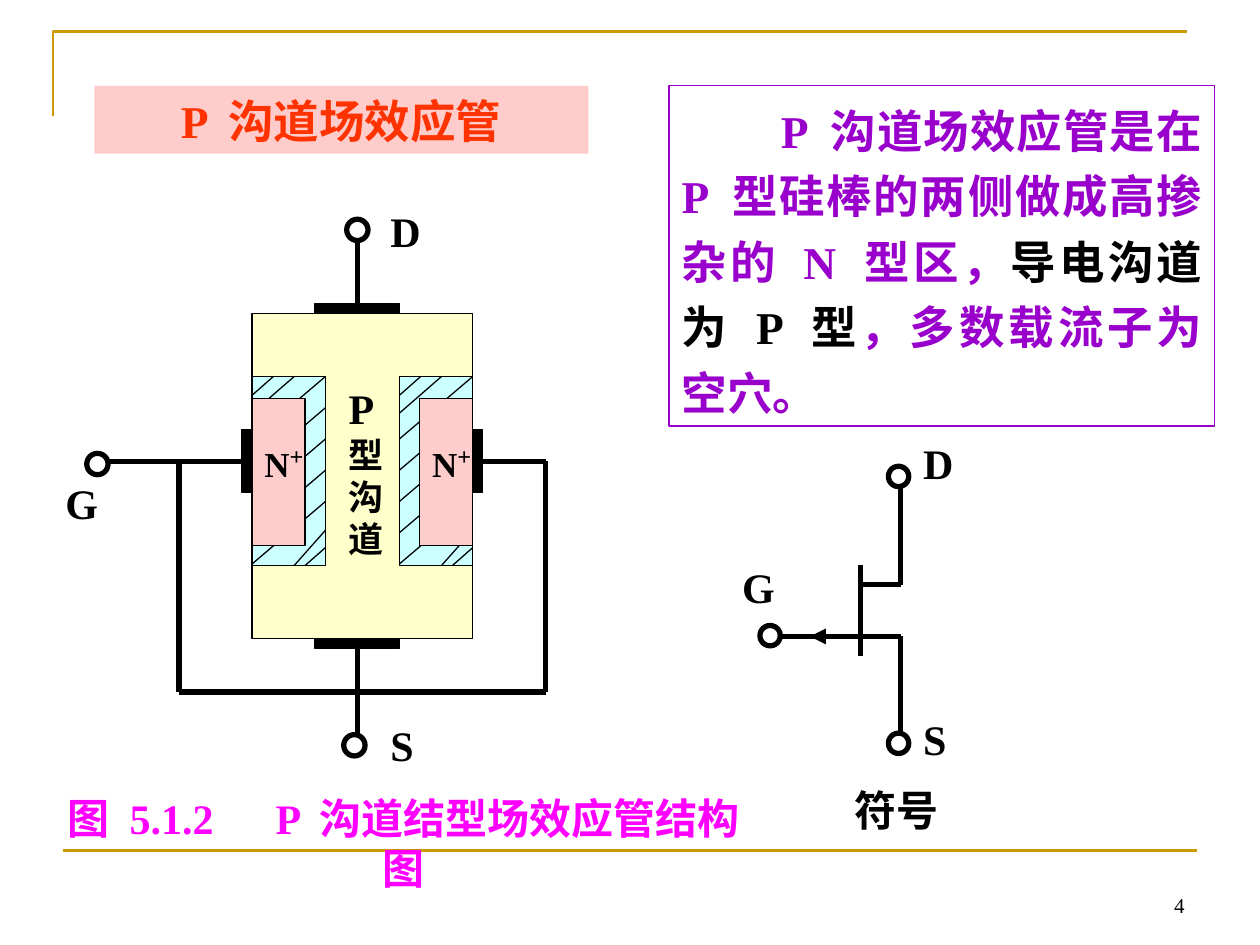
from lxml.etree import SubElement
from pptx import Presentation
from pptx.dml.color import RGBColor
from pptx.enum.shapes import MSO_CONNECTOR, MSO_SHAPE
from pptx.enum.text import MSO_ANCHOR, PP_ALIGN
from pptx.oxml.ns import qn
from pptx.util import Cm, Pt

FONT = "Times New Roman"
BLACK, WHITE, GOLD = "000000", "FFFFFF", "CC9900"
PINK, CREAM, AQUA = "FFCCCC", "FFFFCC", "CCFFFF"
RED, MAGENTA, PURPLE = "FF3300", "FF00FF", "9900CC"
THICK, THIN = 3, 0.75


def rgb(value):
    return RGBColor.from_string(value)


def add_run(p, text, size, color=BLACK, bold=True):
    r = p.add_run()
    r.text = text
    r.font.name, r.font.size, r.font.bold = FONT, Pt(size), bold
    r.font.color.rgb = rgb(color)
    return r


def write(sp, runs, align=PP_ALIGN.LEFT, anchor=MSO_ANCHOR.TOP):
    """Fill a shape with one paragraph; runs are add_run arguments."""
    tf = sp.text_frame
    tf.word_wrap, tf.vertical_anchor = True, anchor
    p = tf.paragraphs[0]
    p.alignment = align
    for run in runs:
        add_run(p, *run)
    return p


def add_text(shapes, box, runs, **layout):
    return write(shapes.add_textbox(*map(Cm, box)), runs, **layout)


def add_label(shapes, left, top, text):
    add_text(shapes, (left, top, 1.65, 1.27), [(text, 24)])


def add_box(shapes, box, fill=None, line=BLACK, width=THIN, kind=MSO_SHAPE.RECTANGLE):
    sp = shapes.add_shape(kind, *map(Cm, box))
    sp.shadow.inherit = False
    if fill:
        sp.fill.solid()
        sp.fill.fore_color.rgb = rgb(fill)
    else:
        sp.fill.background()
    sp.line.color.rgb = rgb(line)
    sp.line.width = Pt(width)
    return sp


def add_terminal(shapes, left, top, size):
    add_box(shapes, (left, top, size, size), WHITE, width=THICK, kind=MSO_SHAPE.OVAL)


def add_line(shapes, x1, y1, x2, y2, color=BLACK, width=THICK):
    c = shapes.add_connector(MSO_CONNECTOR.STRAIGHT, *map(Cm, (x1, y1, x2, y2)))
    c.line.color.rgb = rgb(color)
    c.line.width = Pt(width)
    SubElement(c._element.spPr, qn("a:effectLst"))
    return c


def add_frame(shapes):
    builder = shapes.build_freeform(Cm(1.07), Cm(2.34))
    builder.add_line_segments([(Cm(1.07), Cm(0.63)), (Cm(23.93), Cm(0.63))], close=False)
    sp = builder.convert_to_shape()
    sp.shadow.inherit = False
    sp.fill.background()
    sp.line.color.rgb = rgb(GOLD)
    sp.line.width = Pt(1.5)
    add_line(shapes, 1.27, 17.14, 24.13, 17.14, GOLD, 1.5)


def add_depletion_layer(shapes, x, y):
    w, h, step = 1.48, 3.81, 0.63
    add_box(shapes, (x, y, w, h), AQUA)
    hatch = [(w, step * i, 0, step * (i + 2)) for i in range(5)]
    hatch += [(w, 3.1, 0.85, h), (w, 3.45, 1.07, h),
              (0.85, 0, 0, 0.74), (0.43, 0, 0, 0.38)]
    for x1, y1, x2, y2 in hatch:
        add_line(shapes, x + x1, y + y1, x + x2, y + y2, width=THIN)


def add_structure(shapes):
    left, right, top, bottom = 5.08, 9.53, 6.32, 12.88
    middle, gate, loop = 7.2, 9.3, 13.95
    add_line(shapes, middle, 4.85, middle, 14.81)
    add_line(shapes, 2.11, gate, 11, gate)
    add_box(shapes, (left, top, right - left, bottom - top), CREAM)
    for y in (top - 0.2, bottom):
        add_box(shapes, (6.35, y, 1.7, 0.2), BLACK)
    for x in (left, 8.05):
        add_depletion_layer(shapes, x, 7.59)
    for x in (left, 8.46):
        add_box(shapes, (x, 8.03, 1.07, 2.97), PINK)
    for x in (right, left - 0.2):
        add_box(shapes, (x, 8.66, 0.2, 1.27), BLACK)
    add_line(shapes, 3.61, loop, 11, loop)
    for x in (3.61, 11):
        add_line(shapes, x, gate, x, loop)
    for x, y in ((6.93, 14.81), (1.75, 9.14), (6.99, 4.42)):
        add_terminal(shapes, x, y, 0.43)
    for x in (left, 8.46):
        p = add_text(shapes, (x, 8.66, 1.9, 1.27), [("N", 20), ("+", 24)])
        p.runs[1].font._element.set("baseline", "30000")
    add_text(shapes, (6.78, 7.59, 1.48, 3.81), [("P", 24), ("型沟道", 20)])
    for x, y, text in ((1.07, 9.5, "G"), (7.62, 14.38, "S"), (7.62, 4.01, "D")):
        add_label(shapes, x, y, text)


def add_symbol(shapes):
    channel, lead, drain, gate = 17.35, 18.16, 11.79, 12.83
    add_text(shapes, (16.54, 15.7, 3.05, 1.27), [("符号", 24)], align=PP_ALIGN.CENTER)
    arrow = add_line(shapes, 16.33, gate, 17.14, gate)
    SubElement(arrow.line._get_or_add_ln(), qn("a:headEnd"), type="triangle")
    add_line(shapes, channel, 11.38, channel, 13.23)
    add_line(shapes, channel, drain, lead, drain)
    add_line(shapes, lead, 9.73, lead, drain)
    add_line(shapes, lead, gate, lead, 14.88)
    add_line(shapes, 15.72, gate, lead, gate)
    for x, y in ((17.91, 14.78), (15.32, 12.61), (17.91, 9.4)):
        add_terminal(shapes, x, y, 0.41)
    for x, y, text in ((14.71, 11.2, "G"), (18.36, 8.69, "D"), (18.36, 14.25, "S")):
        add_label(shapes, x, y, text)


def add_title(slide):
    sp = slide.shapes.title
    sp.left, sp.top, sp.width, sp.height = map(Cm, (1.9, 1.73, 9.96, 1.37))
    sp.fill.solid()
    sp.fill.fore_color.rgb = rgb(PINK)
    write(sp, [("P 沟道场效应管", 26, RED)], PP_ALIGN.CENTER, MSO_ANCHOR.MIDDLE)


def add_description(shapes):
    sp = add_box(shapes, (13.49, 1.73, 11, 6.86), line=PURPLE)
    p = write(sp, [("P 沟道场效应管是在 P 型硅棒的两侧做成高掺杂的 N 型区，", 26, PURPLE),
                   ("导电沟道为 P 型", 26),
                   ("，多数载流子为空穴。", 26, PURPLE)], PP_ALIGN.JUSTIFY)
    p.line_spacing = 1.2
    p._p.get_or_add_pPr().set("indent", str(Cm(2)))


def main():
    prs = Presentation()
    prs.slide_width, prs.slide_height = Cm(25.4), Cm(19.05)
    s = prs.slides.add_slide(prs.slide_layouts[5])
    add_frame(s.shapes)
    add_title(s)
    add_text(s.shapes, (0.84, 15.85, 14.6, 2.29),
             [("图 5.1.2　P 沟道结型场效应管结构图", 24, MAGENTA)], align=PP_ALIGN.CENTER)
    add_structure(s.shapes.add_group_shape().shapes)
    add_description(s.shapes)
    add_symbol(s.shapes.add_group_shape().shapes)
    add_text(s.shapes, (18.21, 17.35, 5.92, 1.27), [("4", 12, BLACK, False)],
             align=PP_ALIGN.RIGHT, anchor=MSO_ANCHOR.BOTTOM)
    prs.save("out.pptx")


if __name__ == "__main__":
    main()
